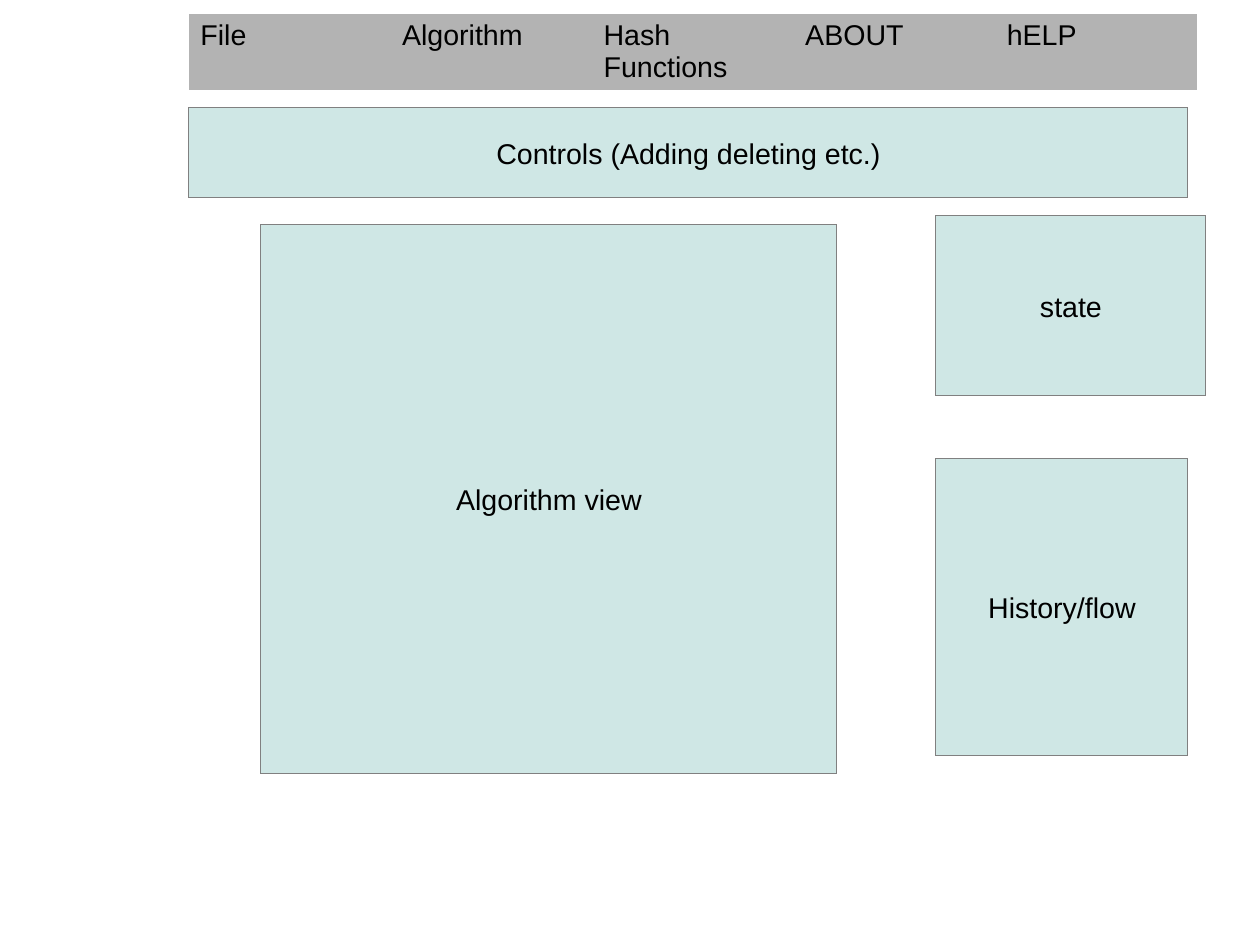
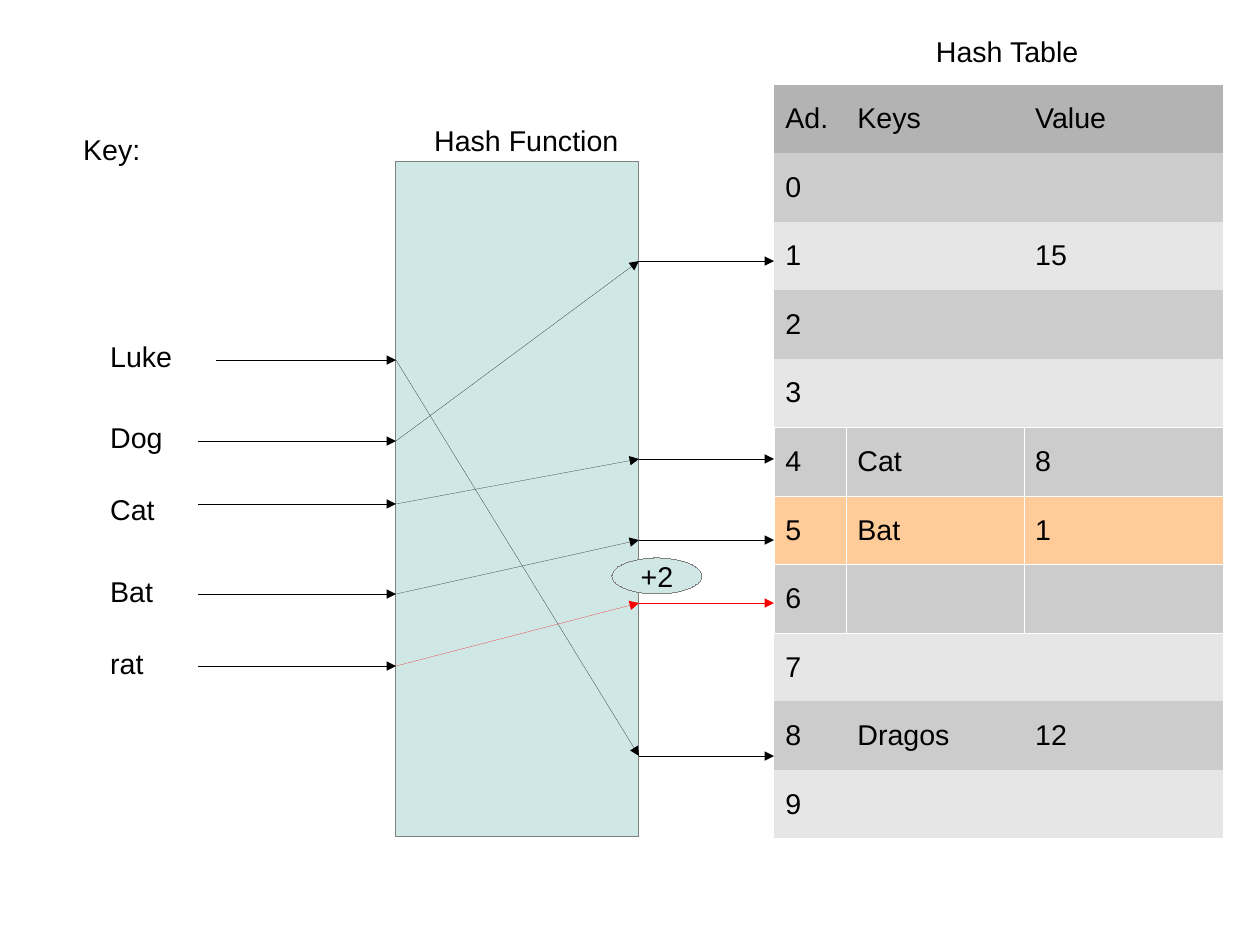
from dataclasses import dataclass

from lxml.etree import SubElement
from pptx import Presentation
from pptx.dml.color import RGBColor as Rgb
from pptx.enum.shapes import MSO_CONNECTOR as Connector, MSO_SHAPE as Preset
from pptx.enum.text import MSO_ANCHOR as Anchor, PP_ALIGN as Align
from pptx.oxml.ns import qn
from pptx.util import Cm, Pt


@dataclass(frozen=True)
class Theme:
    font: str = "Arial"
    size: float = 18
    ink: str = "000000"
    panel: str = "CFE7E5"
    outline: str = "808080"
    header: str = "B3B3B3"
    dark_row: str = "CCCCCC"
    light_row: str = "E6E6E6"
    highlight: str = "FFCC99"
    collision: str = "FF0000"
    grid: str = "FFFFFF"
    hairline: float = 0.01


theme = Theme()
PLAIN_TABLE = "{2D5ABB26-0587-4C30-8999-92F81FD0307C}"


def write(text_frame, text, align=Align.LEFT):
    paragraph = text_frame.paragraphs[0]
    paragraph.alignment = align
    run = paragraph.add_run()
    run.text = text
    run.font.name = theme.font
    run.font.size = Pt(theme.size)
    run.font.color.rgb = Rgb.from_string(theme.ink)


def add_panel(slide, preset, left, top, width, height, text=""):
    shape = slide.shapes.add_shape(preset, Cm(left), Cm(top), Cm(width), Cm(height))
    shape.shadow.inherit = False
    shape.fill.solid()
    shape.fill.fore_color.rgb = Rgb.from_string(theme.panel)
    shape.line.color.rgb = Rgb.from_string(theme.outline)
    shape.line.width = Pt(theme.hairline)
    shape.text_frame.word_wrap = False
    shape.text_frame.vertical_anchor = Anchor.MIDDLE
    if text:
        write(shape.text_frame, text, Align.CENTER)


presentation = Presentation()
presentation.slide_width, presentation.slide_height = Cm(28), Cm(21)
blank = presentation.slide_layouts[6]
layout_slide = presentation.slides.add_slide(blank)
hash_slide = presentation.slides.add_slide(blank)

# Tables: the menu bar and the hash table
menu = [["File", "Algorithm", "Hash Functions", "ABOUT", "hELP"]]
entries = {1: ("", "15"), 4: ("Cat", "8"), 5: ("Bat", "1"), 8: ("Dragos", "12")}
hash_rows = [["Ad.", "Keys", "Value"]]
hash_rows += [[str(address), *entries.get(address, ("", ""))] for address in range(10)]
row_fills = [theme.header] + [theme.dark_row, theme.light_row] * 5
row_fills[6] = theme.highlight
row_fills[7] = theme.dark_row
ruled_rows = (5, 6, 7)

tables = [
    (layout_slide, 4.2, 0.3, [4.48] * 5, 1.7, menu, Anchor.TOP),
    (hash_slide, 17.2, 1.88, [1.6, 3.95, 4.42], 16.76, hash_rows, Anchor.MIDDLE),
]
for slide, left, top, widths, height, rows, anchor in tables:
    frame = slide.shapes.add_table(
        len(rows), len(widths), Cm(left), Cm(top), Cm(sum(widths)), Cm(height))
    for style in frame.element.iter(qn("a:tableStyleId")):
        style.text = PLAIN_TABLE
    table = frame.table
    table.first_row = table.horz_banding = False
    for column, width in zip(table.columns, widths):
        column.width = Cm(width)
    for row_index, texts in enumerate(rows):
        table.rows[row_index].height = Cm(height / len(rows))
        for column_index, text in enumerate(texts):
            cell = table.cell(row_index, column_index)
            cell.vertical_anchor = anchor
            if row_index in ruled_rows:
                properties = cell._tc.get_or_add_tcPr()
                for side in ("a:lnL", "a:lnR", "a:lnT", "a:lnB"):
                    border = SubElement(properties, qn(side), w=str(Pt(0.06)))
                    border_fill = SubElement(border, qn("a:solidFill"))
                    SubElement(border_fill, qn("a:srgbClr"), val=theme.grid)
            cell.fill.solid()
            cell.fill.fore_color.rgb = Rgb.from_string(row_fills[row_index])
            if text:
                write(cell.text_frame, text)

# Slide 1: window layout
for text, left, top, width, height in [
    ("Algorithm view", 5.8, 5, 12.8, 12.2),
    ("state", 20.8, 4.8, 6, 4),
    ("History/flow", 20.8, 10.2, 5.6, 6.6),
    ("Controls (Adding deleting etc.)", 4.2, 2.4, 22.2, 2),
]:
    add_panel(layout_slide, Preset.RECTANGLE, left, top, width, height, text)

# Slide 2: keys passing through the hash function
function_left, function_right, table_left = 8.8, 14.2, 17.2
add_panel(hash_slide, Preset.RECTANGLE, function_left, 3.6,
          function_right - function_left, 15)

# key, label top, arrow start, height going in, height coming out, colour
keys = [
    ("Luke", 7.4, 4.8, 8, 16.8, theme.ink),
    ("Dog", 9.2, 4.4, 9.8, 5.8, theme.ink),
    ("Cat", 10.8, 4.4, 11.2, 10.2, theme.ink),
    ("Bat", 12.63, 4.4, 13.2, 12, theme.ink),
    ("rat", 14.23, 4.4, 14.8, 13.4, theme.collision),
]
labels = [
    ("Hash Table", 20.55, 0.64, 4.4),
    ("Hash Function", 9.4, 2.6, 5.2),
    ("Key:", 1.6, 2.8, 2.4),
]
labels += [(key, 2.2, top, 6) for key, top, *_ in keys]
for text, left, top, width in labels:
    text_box = hash_slide.shapes.add_textbox(Cm(left), Cm(top), Cm(width), Cm(0.96))
    text_box.text_frame.word_wrap = True
    write(text_box.text_frame, text)

for _, _, start, y_in, y_out, color in keys:
    for x1, y1, x2, y2, arrow_color in [
        (start, y_in, function_left, y_in, theme.ink),
        (function_left, y_in, function_right, y_out, color),
        (function_right, y_out, table_left, y_out, color),
    ]:
        arrow = hash_slide.shapes.add_connector(
            Connector.STRAIGHT, Cm(x1), Cm(y1), Cm(x2), Cm(y2))
        arrow.line.color.rgb = Rgb.from_string(arrow_color)
        arrow.line.width = Pt(theme.hairline)
        line = arrow.element.spPr.find(qn("a:ln"))
        SubElement(line, qn("a:tailEnd"), type="triangle")
        SubElement(arrow.element.spPr, qn("a:effectLst"))

add_panel(hash_slide, Preset.OVAL, 13.6, 12.4, 2, 0.8, "+2")

presentation.save("out.pptx")
